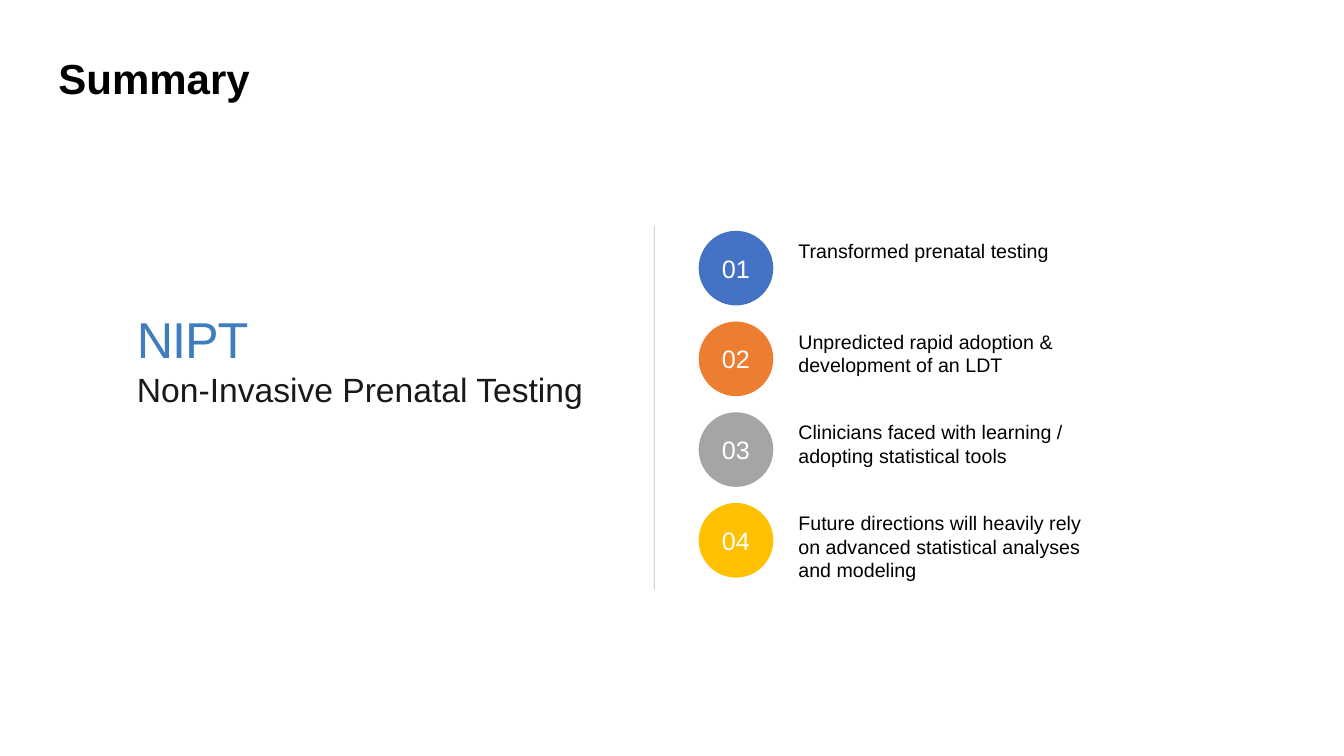
from lxml.etree import SubElement
from pptx import Presentation
from pptx.dml.color import RGBColor
from pptx.enum.shapes import MSO_CONNECTOR, MSO_SHAPE
from pptx.enum.text import MSO_ANCHOR, MSO_AUTO_SIZE, PP_ALIGN
from pptx.oxml.ns import qn
from pptx.util import Pt

PX = 9144  # EMU in one px, at 100 px to the inch
FONT = "Arial"
STEP = 90  # from one summary point to the next

# Circle colour, text height, text
POINTS = [
    ("4472C4", 34, "Transformed prenatal testing"),
    ("ED7D31", 57, "Unpredicted rapid adoption & development of an LDT"),
    ("A5A5A5", 78, "Clinicians faced with learning / adopting statistical tools"),
    ("FFC000", 81, "Future directions will heavily rely on advanced "
                   "statistical analyses and modeling"),
]


def color(code):
    return RGBColor.from_string(code)


def scale(*sizes):
    return [size * PX for size in sizes]


def write(para, text, size=14, fill="000000", bold=False,
          align=PP_ALIGN.LEFT, gap=None):
    run = para.add_run()
    run.text = text
    run.font.name = FONT
    run.font.size = Pt(size)
    run.font.bold = bold
    run.font.color.rgb = color(fill)
    para.alignment = align
    if gap is not None:  # letter spacing, in hundredths of a point
        run._r.get_or_add_rPr().set("spc", str(gap))


def add_title(slide, text):
    title = slide.shapes.title
    title.left, title.top, title.width, title.height = scale(48, 28, 1236, 105)
    frame = title.text_frame
    frame.vertical_anchor = MSO_ANCHOR.MIDDLE
    para = frame.paragraphs[0]
    para.line_spacing = 0.9
    write(para, text, size=30, bold=True)


def add_box(slide, x, y, w, h):
    frame = slide.shapes.add_textbox(*scale(x, y, w, h)).text_frame
    frame.word_wrap = True
    frame.auto_size = MSO_AUTO_SIZE.SHAPE_TO_FIT_TEXT
    return frame


def add_rule(slide, x, top, end):
    rule = slide.shapes.add_connector(
        MSO_CONNECTOR.STRAIGHT, *scale(x, top, x, end))
    rule.line.width = Pt(0.5)
    rule.line.color.rgb = color("7F7F7F")
    # Half transparent, without shadow
    props = rule._element.spPr
    tint = props.find(".//" + qn("a:srgbClr"))
    SubElement(tint, qn("a:alpha")).set("val", "50000")
    SubElement(props, qn("a:effectLst"))


def add_badge(slide, x, y, label, fill):
    badge = slide.shapes.add_shape(MSO_SHAPE.OVAL, *scale(x, y, 74, 74))
    badge.shadow.inherit = False
    badge.fill.solid()
    badge.fill.fore_color.rgb = color(fill)
    badge.line.fill.background()
    frame = badge.text_frame
    frame.vertical_anchor = MSO_ANCHOR.MIDDLE
    write(frame.paragraphs[0], label, size=18, fill="FFFFFF",
          align=PP_ALIGN.CENTER)


def main():
    deck = Presentation()
    deck.slide_width, deck.slide_height = scale(1333, 750)
    slide = deck.slides.add_slide(deck.slide_layouts.get_by_name("Title Only"))
    add_title(slide, "Summary")

    # Topic on the left
    topic = add_box(slide, 126, 301, 479, 111)
    write(topic.paragraphs[0], "NIPT", size=36, fill="3E7EBE", gap=-80)
    write(topic.add_paragraph(), "Non-Invasive Prenatal Testing",
          size=24, fill="1A1818", gap=0)

    # Divider
    add_rule(slide, 649, 224, 585)

    # Numbered points on the right
    for row, (fill, height, text) in enumerate(POINTS):
        add_badge(slide, 693, 229 + row * STEP, f"{row + 1:02}", fill)
        point = add_box(slide, 782, 232 + row * STEP, 301, height)
        write(point.paragraphs[0], text)

    deck.save("out.pptx")


if __name__ == "__main__":
    main()
